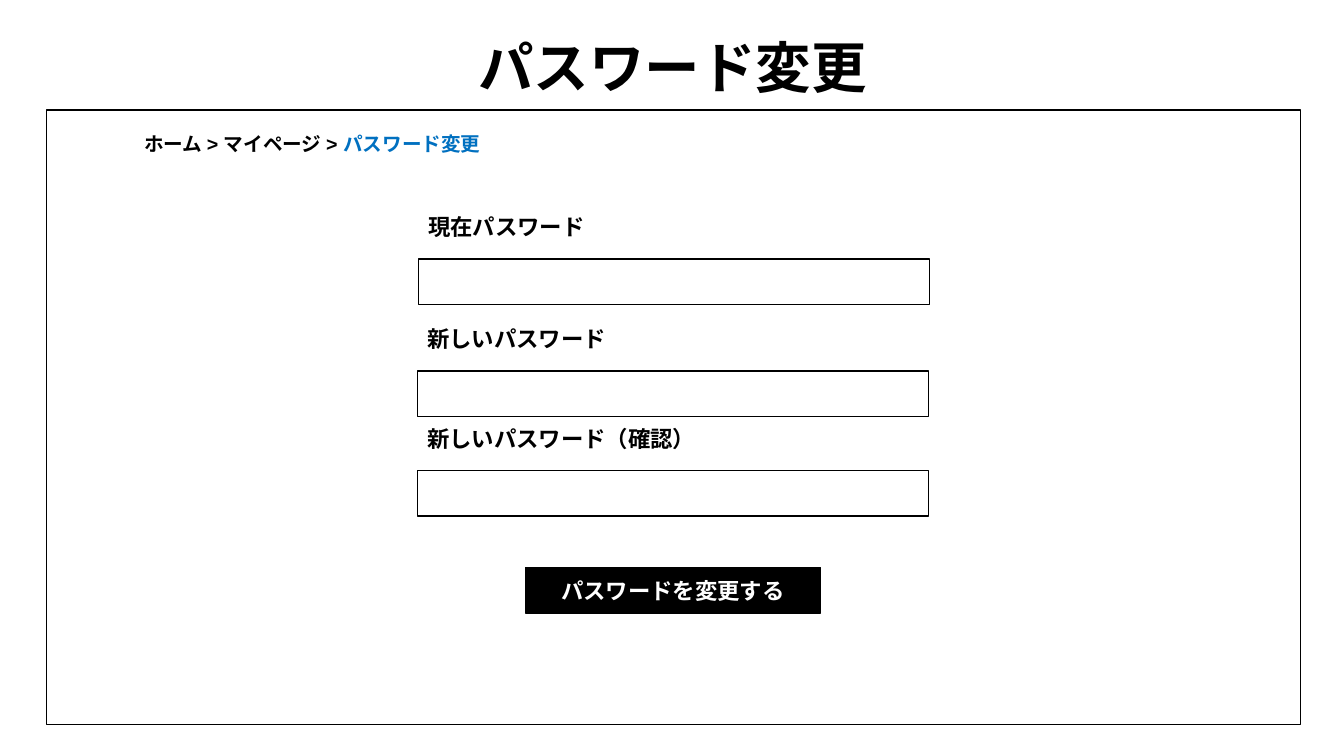
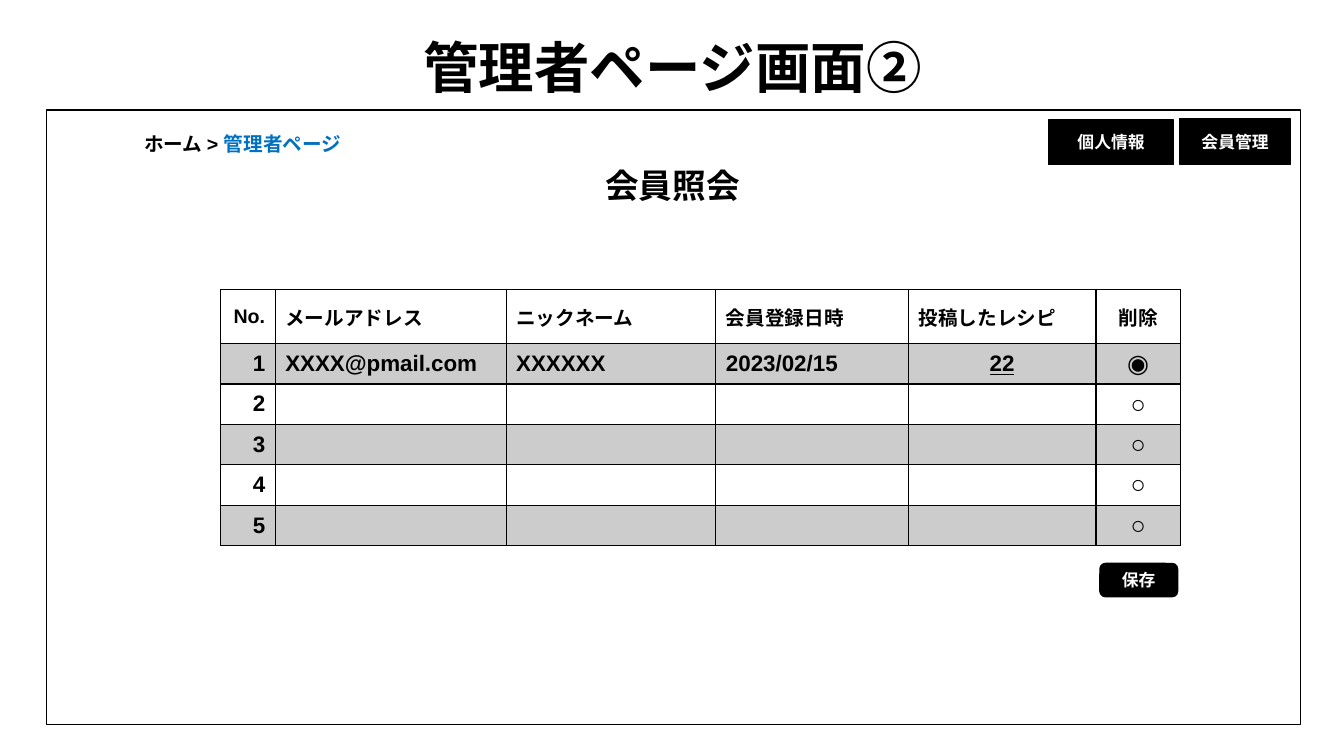
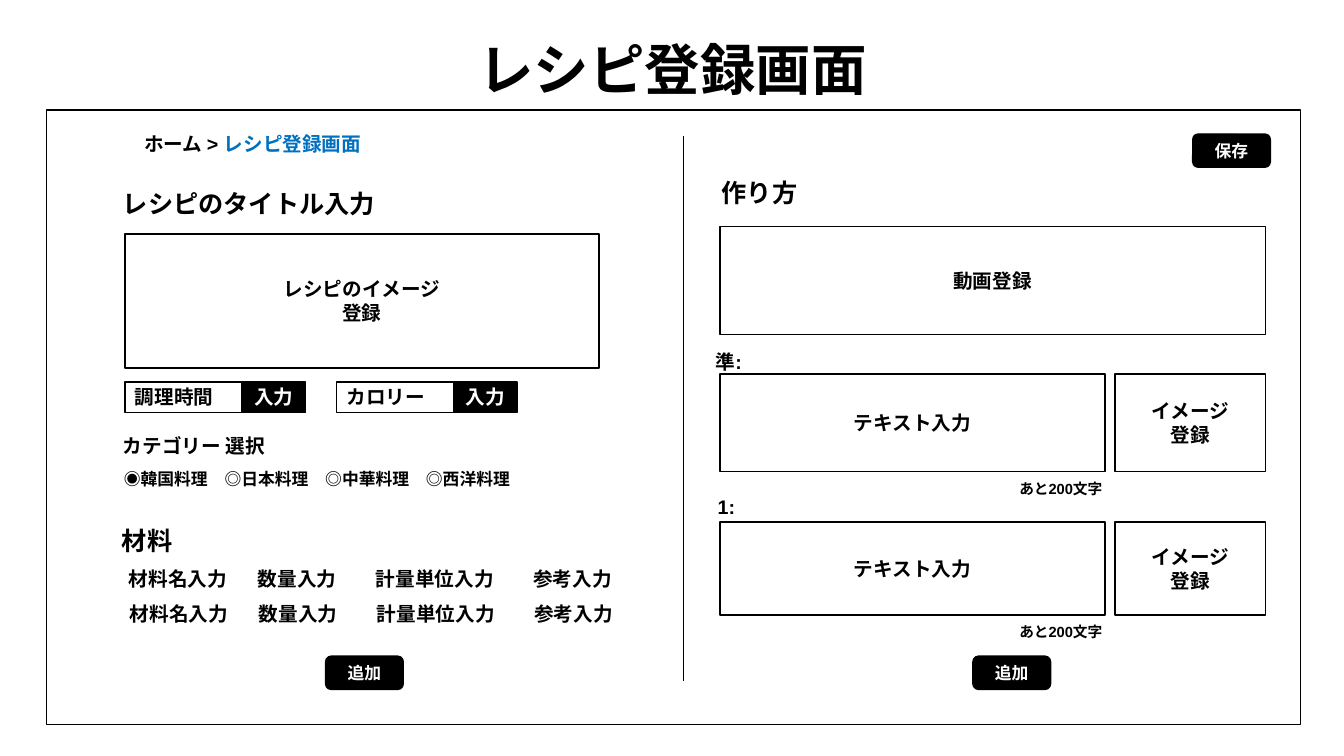
from lxml import etree
from pptx import Presentation
from pptx.dml.color import RGBColor
from pptx.enum.lang import MSO_LANGUAGE_ID
from pptx.enum.shapes import MSO_CONNECTOR, MSO_SHAPE
from pptx.enum.text import MSO_ANCHOR, PP_ALIGN
from pptx.oxml import parse_xml
from pptx.oxml.ns import nsdecls, qn
from pptx.util import Inches, Pt

RECT, ROUNDED = MSO_SHAPE.RECTANGLE, MSO_SHAPE.ROUNDED_RECTANGLE
STRAIGHT = MSO_CONNECTOR.STRAIGHT
LEFT, CENTER, RIGHT = PP_ALIGN.LEFT, PP_ALIGN.CENTER, PP_ALIGN.RIGHT
TOP, MIDDLE = MSO_ANCHOR.TOP, MSO_ANCHOR.MIDDLE
JAPANESE = MSO_LANGUAGE_ID.JAPANESE

FONT = "Arial"
BLACK, WHITE, BLUE, GRAY = "000000", "FFFFFF", "0070C0", "CCCCCC"


def rgb(color):
    return RGBColor.from_string(color)


# Text
def add_run(paragraph, text, size, color=BLACK, bold=True, underline=None):
    run = paragraph.add_run()
    run.text = text
    font = run.font
    font.name, font.size, font.bold = FONT, Pt(size), bold
    font.color.rgb = rgb(color)
    font.underline = underline
    font.language_id = JAPANESE


def fill_frame(frame, lines, size, align, anchor, color=BLACK):
    frame.word_wrap = True
    frame.vertical_anchor = anchor
    for i, line in enumerate(lines):
        paragraph = frame.add_paragraph() if i else frame.paragraphs[0]
        paragraph.alignment = align
        add_run(paragraph, line, size, color)


def add_label(slide, at, text, size, align=LEFT, anchor=TOP):
    label = slide.shapes.add_textbox(*map(Inches, at))
    fill_frame(label.text_frame, [text], size, align, anchor)
    return label.text_frame.paragraphs[0]


# Boxes and buttons
def add_box(slide, at, lines=(), size=14, align=CENTER, fill=WHITE,
            color=BLACK, kind=RECT):
    box = slide.shapes.add_shape(kind, *map(Inches, at))
    box.shadow.inherit = False
    box.fill.solid()
    box.fill.fore_color.rgb = rgb(fill)
    box.line.color.rgb = rgb(BLACK)
    box.line.width = Pt(1)
    fill_frame(box.text_frame, lines, size, align, MIDDLE, color)


def add_button(slide, at, text, size=12, kind=RECT):
    add_box(slide, at, [text], size, fill=BLACK, color=WHITE, kind=kind)


def add_small_button(slide, left, top, text):
    add_button(slide, (left, top, 0.77, 0.33), text, kind=ROUNDED)


def add_divider(slide, x, top, bottom):
    divider = slide.shapes.add_connector(
        STRAIGHT, Inches(x), Inches(top), Inches(x), Inches(bottom))
    divider.line.color.rgb = rgb(BLACK)
    divider.line.width = Pt(0.75)
    etree.SubElement(divider._element.spPr, qn("a:effectLst"))


# Shared screen: title, frame and breadcrumb
def add_screen(prs, title, trail, here, title_top=0.4):
    slide = prs.slides.add_slide(prs.slide_layouts[6])
    add_box(slide, (0.46, 1.09, 12.44, 6.1))
    heading = add_label(slide, (0.92, title_top, 11.5, 0.6), title, 39.6,
                        CENTER, MIDDLE)
    heading.line_spacing = 0.9
    steps = "".join(f"{step} > " for step in trail)
    breadcrumb = add_label(slide, (1.33, 1.26, 6.22, 0.34), steps, 14)
    add_run(breadcrumb, here, 14, BLUE)
    return slide


# Table
def style_cell(cell, fill):
    cell.vertical_anchor = MIDDLE
    cell.margin_left = cell.margin_right = Inches(0.1)
    cell.margin_top = cell.margin_bottom = Inches(0.05)
    cell.fill.solid()
    cell.fill.fore_color.rgb = rgb(fill)
    properties = cell._tc.get_or_add_tcPr()
    for i, side in enumerate("LRTB"):
        properties.insert(i, parse_xml(
            f'<a:ln{side} {nsdecls("a")} w="12700"><a:solidFill>'
            f'<a:srgbClr val="{BLACK}"/></a:solidFill></a:ln{side}>'))


def add_member_table(slide):
    headers = ["No.", "メールアドレス", "ニックネーム", "会員登録日時",
               "投稿したレシピ", "削除"]
    first = ["1", "XXXX@pmail.com", "XXXXXX", "2023/02/15", "22", "◉"]
    empty = [[str(n), "", "", "", "", "○"] for n in range(2, 6)]
    rows = [headers, first, *empty]
    widths = [0.54, 2.29, 2.08, 1.91, 1.86, 0.84]
    heights = [0.54] + [0.4] * 5
    aligns = [RIGHT, LEFT, LEFT, LEFT, CENTER, CENTER]
    count_col, delete_col = 4, 5

    table = slide.shapes.add_table(
        len(rows), len(widths), Inches(2.19), Inches(2.87),
        Inches(sum(widths)), Inches(sum(heights))).table
    table.first_row = table.horz_banding = False
    for column, width in zip(table.columns, widths):
        column.width = Inches(width)
    for r, values in enumerate(rows):
        table.rows[r].height = Inches(heights[r])
        for c, value in enumerate(values):
            cell = table.cell(r, c)
            style_cell(cell, GRAY if r % 2 else WHITE)
            if not value:
                continue
            header = r == 0
            mark = c == delete_col and not header
            count = c == count_col and not header
            paragraph = cell.text_frame.paragraphs[0]
            paragraph.alignment = LEFT if header and c == count_col else aligns[c]
            size = 14 if header else 18 if mark else 16
            add_run(paragraph, value, size, bold=not mark,
                    underline=True if count else None)


# Parts of the recipe form
def add_input_pair(slide, left, name):
    add_box(slide, (left, 3.79, 1.37, 0.3), [name], align=LEFT)
    add_button(slide, (left + 1.16, 3.79, 0.63, 0.3), "入力", 14)


def add_ingredient_row(slide, left, top):
    fields = ["材料名入力", "数量入力", "計量単位入力", "参考入力"]
    row = add_label(slide, (left, top, 5.19, 0.34), "\t".join(fields), 14)
    tabs = etree.SubElement(row._p.get_or_add_pPr(), qn("a:tabLst"))
    for stop in (1.28, 2.45, 4.01):
        etree.SubElement(tabs, qn("a:tab"), pos=str(Inches(stop)), algn="l")


def add_step(slide, name, name_at, top, height):
    add_label(slide, (*name_at, 3.96, 0.34), name, 14)
    add_box(slide, (7.14, top, 3.82, height), ["テキスト入力"])
    add_box(slide, (11.06, top, 1.49, height), ["イメージ", "登録"])
    add_label(slide, (9.8, top + height + 0.03, 1.23, 0.28), "あと200文字",
              10.5, RIGHT)


# Slides
def build_password_screen(prs):
    slide = add_screen(prs, "パスワード変更", ["ホーム", "マイページ"],
                       "パスワード変更")
    fields = [("現在パスワード", 4.15, 2.07),
              ("新しいパスワード", 4.14, 3.18),
              ("新しいパスワード（確認）", 4.14, 4.17)]
    for name, left, top in fields:
        add_label(slide, (left, top, 5.07, 0.37), name, 16)
        add_box(slide, (left, top + 0.5, 5.07, 0.45))
    add_button(slide, (5.21, 5.63, 2.93, 0.45), "パスワードを変更する", 16)


def build_admin_screen(prs):
    slide = add_screen(prs, "管理者ページ画面②", ["ホーム"], "管理者ページ")
    add_label(slide, (4.09, 1.59, 5.16, 0.5), "会員照会", 24, CENTER)
    add_member_table(slide)
    add_small_button(slide, 10.91, 5.59, "保存")
    add_button(slide, (10.4, 1.19, 1.24, 0.44), "個人情報")
    add_button(slide, (11.7, 1.18, 1.1, 0.45), "会員管理")


def build_recipe_screen(prs):
    slide = add_screen(prs, "レシピ登録画面", ["ホーム"], "レシピ登録画面", 0.42)
    add_divider(slide, 6.78, 1.35, 6.76)
    headings = [("レシピのタイトル入力", 1.12, 1.82), ("材料", 1.11, 5.16),
                ("作り方", 7.06, 1.71)]
    for heading, left, top in headings:
        add_label(slide, (left, top, 4.21, 0.4), heading, 18)

    # Left half: recipe details
    add_box(slide, (1.24, 2.32, 4.7, 1.33), ["レシピのイメージ", "登録"])
    add_input_pair(slide, 1.24, "調理時間")
    add_input_pair(slide, 3.34, "カロリー")
    add_label(slide, (1.12, 4.26, 1.87, 0.34), "カテゴリー 選択", 14)
    add_label(slide, (1.13, 4.6, 4.86, 0.3),
              "◉韓国料理　◎日本料理　◎中華料理　◎西洋料理", 12)
    add_ingredient_row(slide, 1.18, 5.58)
    add_ingredient_row(slide, 1.19, 5.92)

    # Right half: cooking steps
    add_box(slide, (7.14, 2.25, 5.41, 1.07), ["動画登録"])
    add_step(slide, "準:", (7, 3.42), 3.71, 0.97)
    add_step(slide, "1:", (7.02, 4.86), 5.18, 0.92)

    add_small_button(slide, 11.83, 1.33, "保存")
    for left in (3.23, 9.65):
        add_small_button(slide, left, 6.51, "追加")


def main():
    prs = Presentation()
    prs.slide_width, prs.slide_height = Inches(13.33), Inches(7.5)
    build_password_screen(prs)
    build_admin_screen(prs)
    build_recipe_screen(prs)
    prs.save("out.pptx")


if __name__ == "__main__":
    main()
